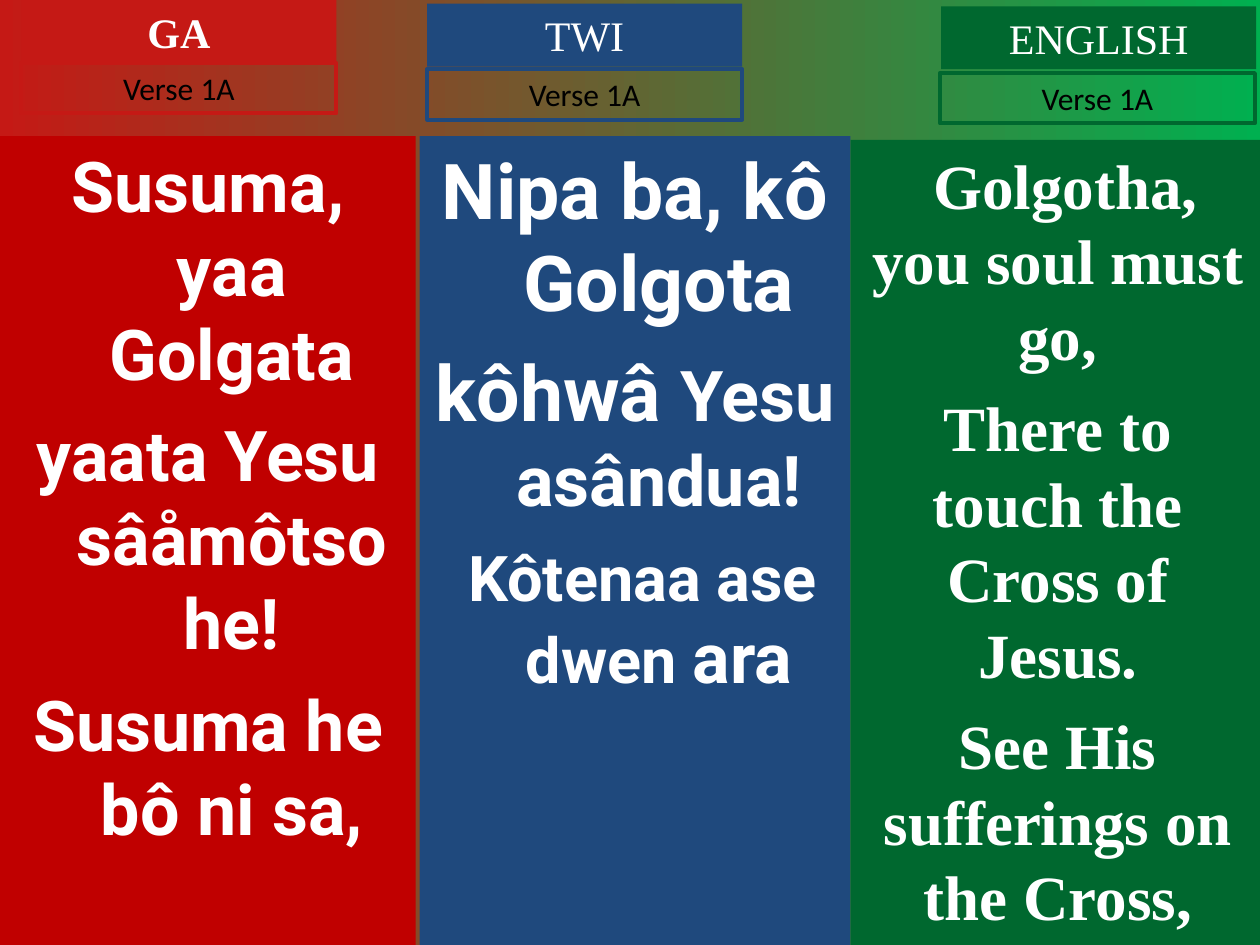
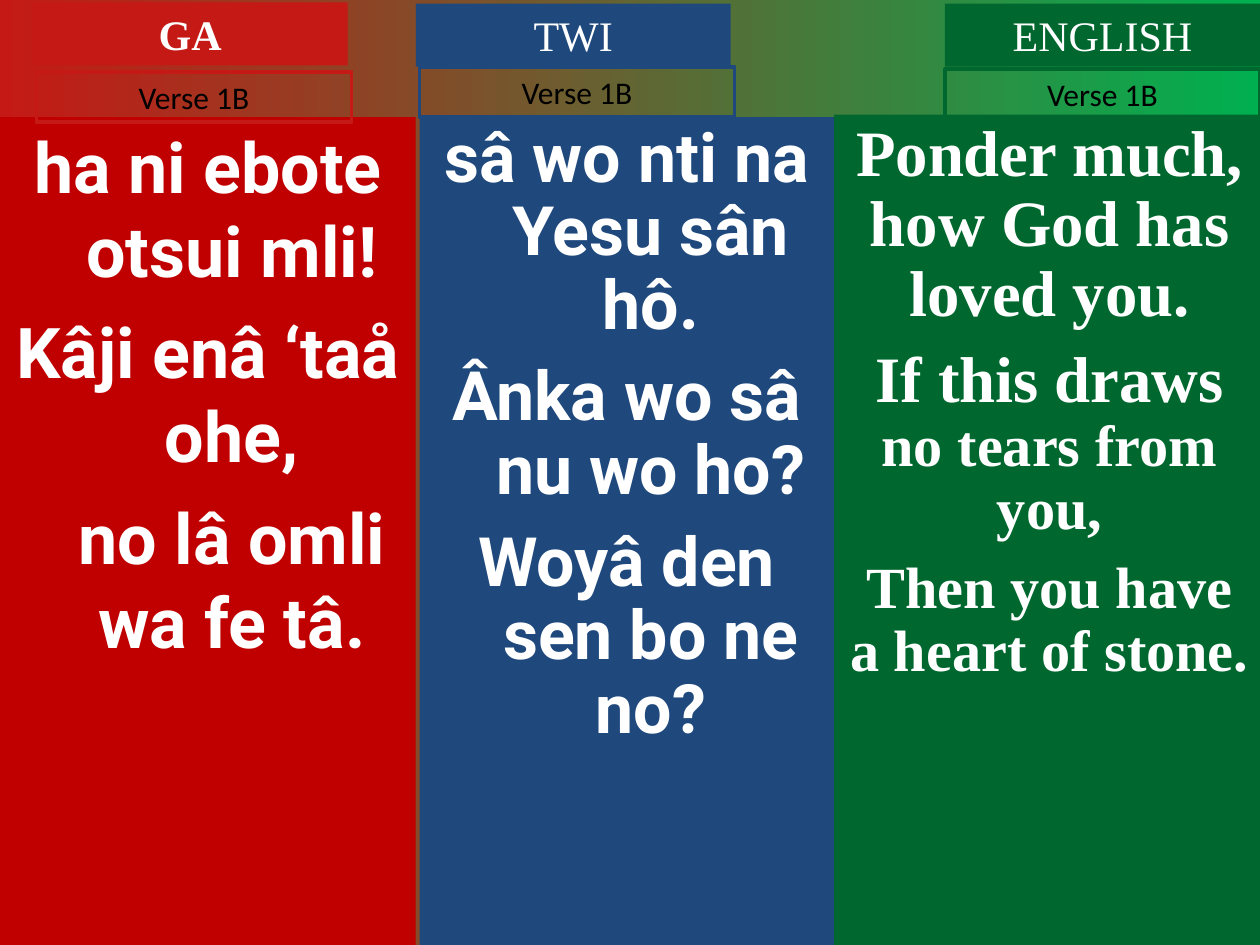
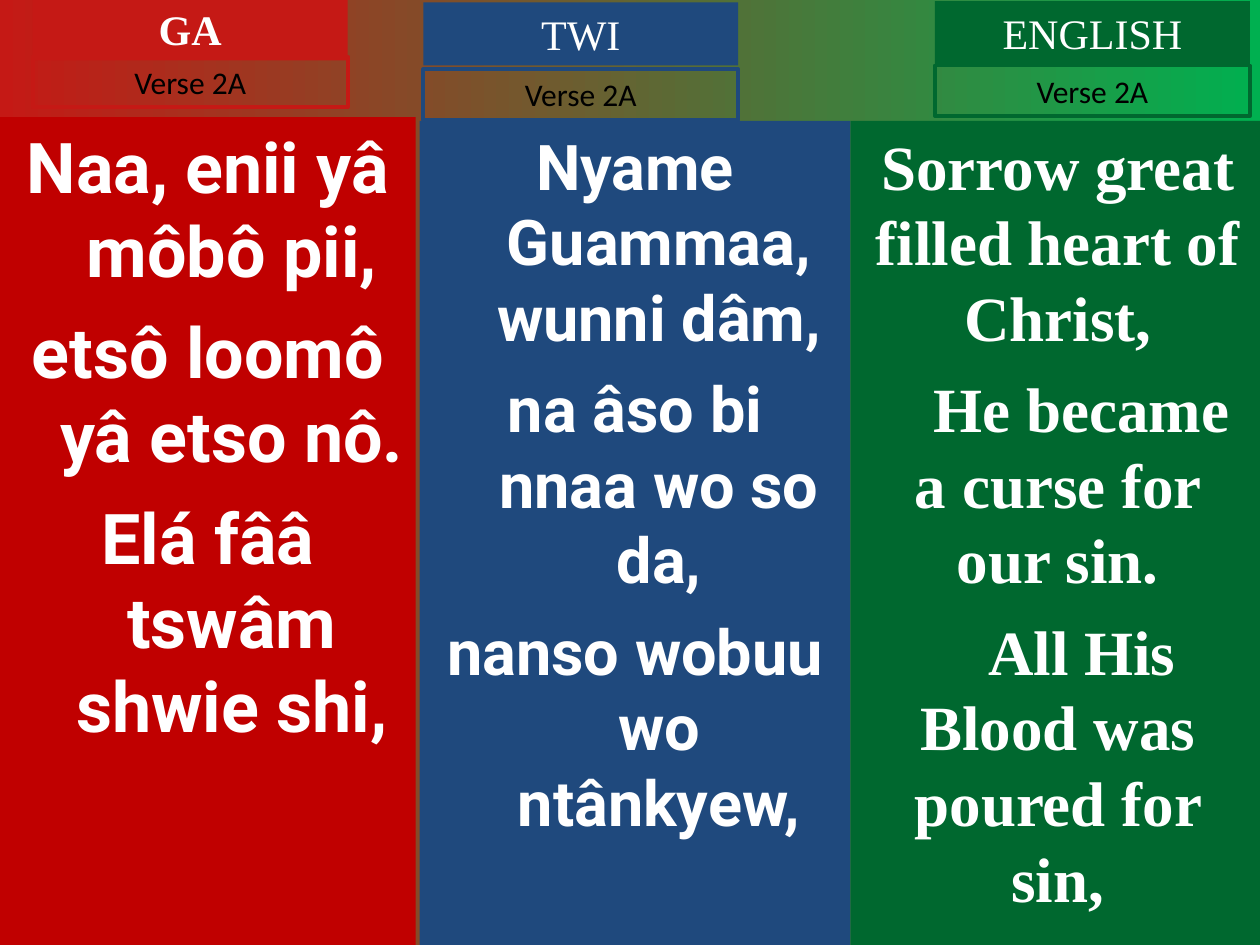
from dataclasses import dataclass

from pptx import Presentation
from pptx.dml.color import RGBColor
from pptx.enum.shapes import MSO_SHAPE
from pptx.enum.text import MSO_ANCHOR, MSO_AUTO_SIZE, PP_ALIGN
from pptx.util import Inches, Pt

CRIMSON = RGBColor(0xC0, 0x00, 0x00)
RED = RGBColor(0xC5, 0x19, 0x15)
BLUE = RGBColor(0x1F, 0x49, 0x7D)
GREEN = RGBColor(0x00, 0x68, 0x2F)
BRIGHT_GREEN = RGBColor(0x00, 0xB0, 0x50)
WHITE = RGBColor(0xFF, 0xFF, 0xFF)
BLACK = RGBColor(0x00, 0x00, 0x00)
SERIF = "Times New Roman"


@dataclass
class Language:
    name: str
    panel_color: RGBColor
    label_color: RGBColor
    font: str
    hang: float
    bold_title: bool = False


@dataclass
class Line:
    """A sung line; tail continues it in another size, shift moves its start."""
    text: str
    size: float = None
    tail: str = ""
    tail_size: float = None
    shift: float = 0


@dataclass
class Column:
    """Panel is left, top, width; title and tag are left, top (inches)."""
    panel: tuple
    title: tuple
    tag: tuple
    size: float
    lines: list
    before: float = 10
    spacing: float = 1


LANGUAGES = [
    Language("GA", CRIMSON, RED, "Roboto", 0.38, True),
    Language("TWI", BLUE, BLUE, "Roboto", 0.38),
    Language("ENGLISH", GREEN, GREEN, SERIF, 0),
]

VERSES = {
    "Verse 1A": [
        Column((0, 1.08, 3.3), (0.17, 0), (0.17, 0.5), 40, [
            Line("Susuma, yaa Golgata"),
            Line("yaata Yesu sâåmôtso he!"),
            Line("Susuma he bô ni sa,")]),
        Column((3.33, 1.08, 3.42), (3.39, 0.03), (3.39, 0.55), 44, [
            Line("Nipa ba, kô Golgota"),
            Line("kôhwâ ", tail="Yesu asândua!", tail_size=40),
            Line("Kôtenaa ase dwen ", 36, "ara", 40, shift=0.12)]),
        Column((6.75, 1.11, 3.29), (7.47, 0.05), (7.46, 0.58), 36, [
            Line("Golgotha, you soul must go,", shift=0.12),
            Line("There to touch the Cross of Jesus."),
            Line("See His sufferings on the Cross,")], before=9),
    ],
    "Verse 1B": [
        Column((0, 0.93, 3.3), (0.26, 0.02), (0.29, 0.57), 40, [
            Line("ha ni ebote otsui mli!"),
            Line("Kâji enâ ‘taå ohe,"),
            Line("no lâ omli wa fe tâ.", shift=0.38)]),
        Column((3.33, 0.93, 3.29), (3.3, 0.03), (3.33, 0.53), 38.9, [
            Line("sâ wo nti na Yesu sân hô."),
            Line("Ânka wo sâ nu wo ho?"),
            Line("Woyâ den sen bo ne no?")], before=10.5, spacing=0.9),
        Column((6.62, 0.91, 3.42), (7.5, 0.03), (7.5, 0.55), 33.3, [
            Line("Ponder much, how God has loved you.", 37),
            Line("If this draws ", 37, "no tears from you,", 33.3),
            Line("Then you have a heart of stone.")], before=9, spacing=0.9),
    ],
    "Verse 2A": [
        Column((0, 0.93, 3.3), (0.26, -0.02), (0.26, 0.45), 40, [
            Line("Naa, enii yâ môbô pii,"),
            Line("etsô loomô yâ etso nô."),
            Line("Elá fââ tswâm shwie shi,")]),
        Column((3.33, 0.96, 3.42), (3.36, 0.02), (3.36, 0.55), 36, [
            Line("Nyame Guammaa, wunni dâm,"),
            Line("na âso bi nnaa wo so da,"),
            Line("nanso wobuu wo ntânkyew,")], before=9),
        Column((6.75, 0.96, 3.29), (7.42, 0.01), (7.42, 0.52), 36, [
            Line("Sorrow great filled heart of Christ,"),
            Line("He became a curse for our sin.", shift=0.38),
            Line("All His Blood was poured for sin,", shift=0.38)], before=9),
    ],
}

LABEL_W, TITLE_H, TAG_H = 2.5, 0.5, 0.4
SLIDE_W, SLIDE_H = 10, 7.5


def add_box(s, left, top, width, height, fill=None, line=None):
    sp = s.shapes.add_shape(MSO_SHAPE.RECTANGLE, Inches(left), Inches(top),
                            Inches(width), Inches(height))
    sp.shadow.inherit = False
    if fill is None:
        sp.fill.background()
    else:
        sp.fill.solid()
        sp.fill.fore_color.rgb = fill
    if line is None:
        sp.line.fill.background()
    else:
        sp.line.color.rgb = line
        sp.line.width = Pt(2.25)
    sp.text_frame.word_wrap = True
    sp.text_frame.vertical_anchor = MSO_ANCHOR.TOP
    return sp


def add_run(p, text, color, **font):
    r = p.add_run()
    r.text = text
    r.font.color.rgb = color
    for key, value in font.items():
        setattr(r.font, key, value)


def add_label(s, place, height, text, color, fill=None, line=None, **font):
    tf = add_box(s, *place, LABEL_W, height, fill, line).text_frame
    tf.auto_size = MSO_AUTO_SIZE.SHAPE_TO_FIT_TEXT
    p = tf.paragraphs[0]
    p.alignment = PP_ALIGN.CENTER
    add_run(p, text, color, **font)


def add_panel(s, lang, col):
    left, top, width = col.panel
    tf = add_box(s, left, top, width, SLIDE_H - top, lang.panel_color).text_frame
    for i, line in enumerate(col.lines):
        p = tf.add_paragraph() if i else tf.paragraphs[0]
        p.alignment = PP_ALIGN.CENTER
        p.line_spacing = col.spacing
        p.space_before = Pt(col.before if i else 0)
        pPr = p._p.get_or_add_pPr()
        pPr.set("marL", str(Inches(lang.hang)))
        pPr.set("indent", str(Inches(line.shift - lang.hang)))
        for text, size in ((line.text, line.size), (line.tail, line.tail_size)):
            if text:
                add_run(p, text, WHITE, name=lang.font, bold=True,
                        size=Pt(size or col.size))


def set_background(master):
    fill = master.background.fill
    fill.gradient()
    fill.gradient_angle = 0
    for stop, color, position in zip(fill.gradient_stops, (RED, BRIGHT_GREEN), (0, 1)):
        stop.color.rgb = color
        stop.position = position


def main():
    prs = Presentation()
    prs.slide_width, prs.slide_height = Inches(SLIDE_W), Inches(SLIDE_H)
    set_background(prs.slide_master)
    blank = prs.slide_layouts[6]
    for verse, columns in VERSES.items():
        s = prs.slides.add_slide(blank)
        for lang, col in zip(LANGUAGES, columns):
            add_panel(s, lang, col)
            add_label(s, col.title, TITLE_H, lang.name, WHITE, fill=lang.label_color,
                      name=SERIF, size=Pt(24), bold=lang.bold_title)
            add_label(s, col.tag, TAG_H, verse, BLACK, line=lang.label_color,
                      name="Calibri", size=Pt(18))
    prs.save("out.pptx")


if __name__ == "__main__":
    main()
